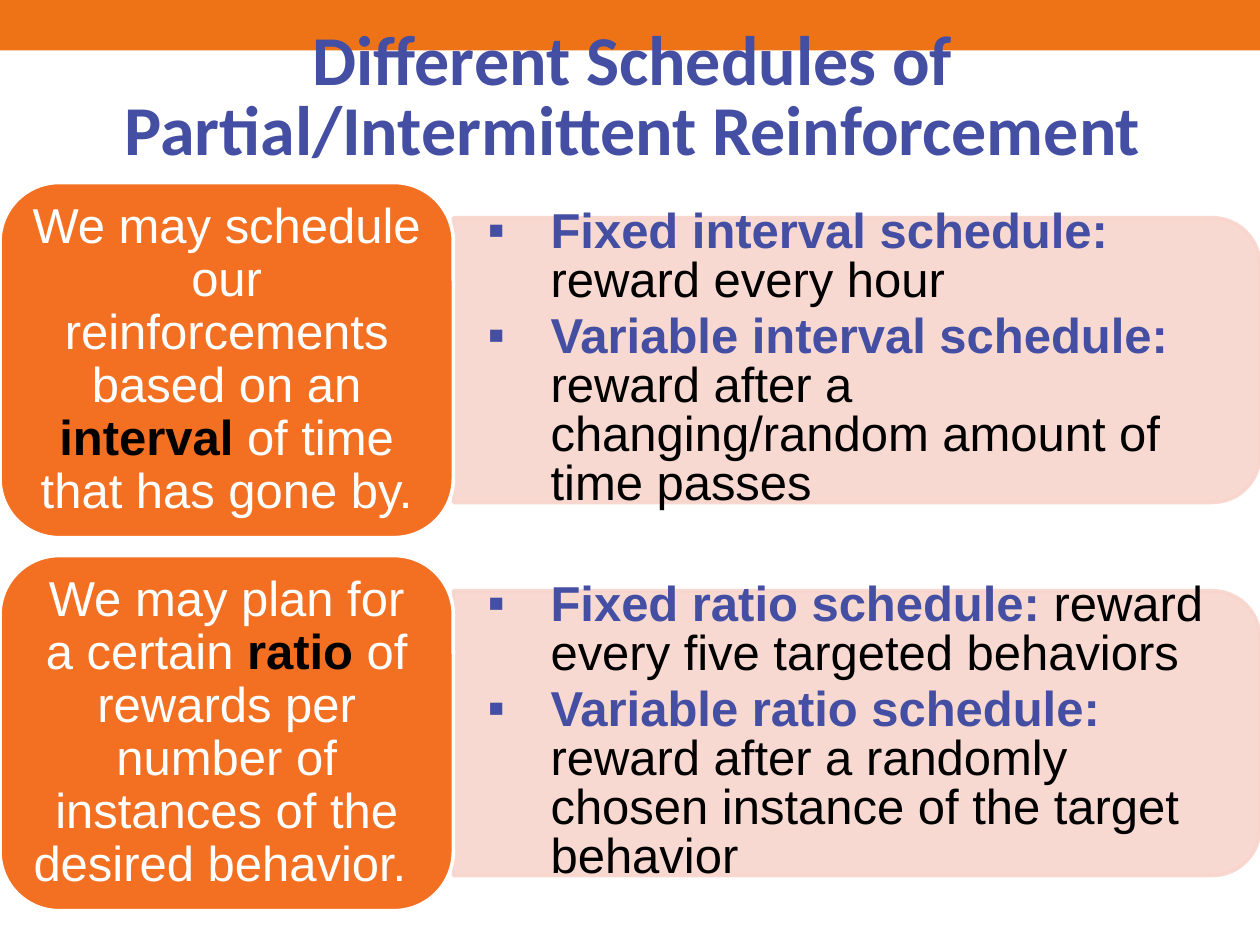
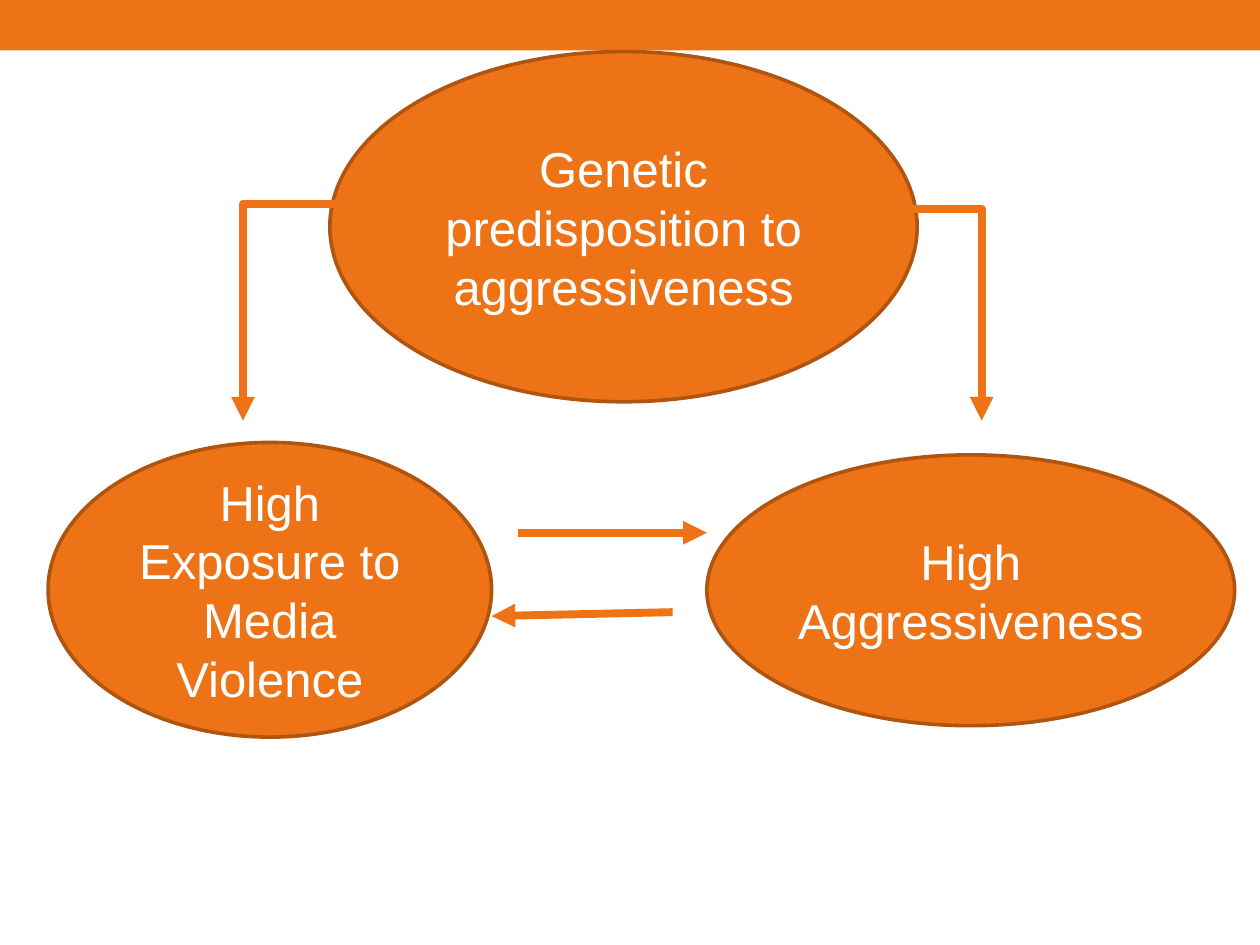
import math
from dataclasses import dataclass

import pptx
import pptx.dml.color
import pptx.enum.shapes
import pptx.enum.text
import pptx.oxml
import pptx.oxml.ns
import pptx.util
from pptx.util import Cm

SHAPES = pptx.enum.shapes.MSO_SHAPE
CONNECTORS = pptx.enum.shapes.MSO_CONNECTOR
ALIGN = pptx.enum.text.PP_ALIGN
ANCHOR = pptx.enum.text.MSO_ANCHOR


@dataclass(frozen=True)
class Theme:
    orange: str = "ED7316"
    dark_orange: str = "AF5510"
    card: str = "F36F21"
    panel: str = "F8D5CC"
    accent: str = "444EA2"
    white: str = "FFFFFF"
    black: str = "000000"
    body_font: str = "Arial"
    title_font: str = "Calibri"
    body_size: int = 28
    title_size: int = 40
    outline: float = 2.08
    arrow: float = 4.5


THEME = Theme()


# Formatting helpers
def rgb(color):
    return pptx.dml.color.RGBColor.from_string(color)


def add_element(parent, tag, **attributes):
    element = pptx.oxml.ns.qn(f"a:{tag}")
    child = parent.makeelement(element, attributes)
    parent.append(child)
    return child


def set_alpha(fill_parent, percent):
    for color in fill_parent.iter(pptx.oxml.ns.qn("a:srgbClr")):
        add_element(color, "alpha", val=str(percent * 1000))


def style_shape(shape, fill, line=None):
    shape.shadow.inherit = False
    shape.fill.solid()
    shape.fill.fore_color.rgb = rgb(fill)
    if line:
        shape.line.color.rgb = rgb(line)
        shape.line.width = pptx.util.Pt(THEME.outline)
    else:
        shape.line.fill.background()


def write_text(shape, paragraphs, *, size=THEME.body_size, font=THEME.body_font,
               align=ALIGN.CENTER, spacing=None, after=None, bullet=None,
               insets=(0.25, 0.13, 0.25, 0.13)):
    """Each paragraph is a list of (text, colour, bold) runs."""
    frame = shape.text_frame
    frame.word_wrap = True
    frame.vertical_anchor = ANCHOR.MIDDLE
    (frame.margin_left, frame.margin_top,
     frame.margin_right, frame.margin_bottom) = map(Cm, insets)
    for index, runs in enumerate(paragraphs):
        paragraph = frame.add_paragraph() if index else frame.paragraphs[0]
        if bullet:
            paragraph.level = 1
            properties = paragraph._p.get_or_add_pPr()
            properties.set("marL", str(Cm(1.27)))
            properties.set("indent", str(-Cm(1.27)))
            add_element(properties, "buFont", typeface=font)
            add_element(properties, "buChar", char=bullet)
        paragraph.alignment = align
        if spacing:
            paragraph.line_spacing = spacing
        if after:
            paragraph.space_after = pptx.util.Pt(after)
        for text, color, bold in runs:
            run = paragraph.add_run()
            run.text = text
            run.font.size = pptx.util.Pt(size)
            run.font.name = font
            run.font.bold = bold
            run.font.color.rgb = rgb(color)


# Shared slide parts
def add_slide(presentation):
    slide = presentation.slides.add_slide(presentation.slide_layouts[6])
    band = slide.shapes.add_shape(SHAPES.RECTANGLE, 0, 0, presentation.slide_width, Cm(1.02))
    style_shape(band, THEME.orange)
    return slide


def add_title(slide, text):
    title = slide.shapes.add_textbox(Cm(1.32), Cm(-0.38), Cm(22.86), Cm(4.78))
    write_text(title, [[(text, THEME.accent, True)]], size=THEME.title_size,
               font=THEME.title_font, spacing=pptx.util.Pt(THEME.title_size))


# Schedule rows
def add_panel(slide, top, schedules):
    left, right, height, radius = 9.14, 25.4, 5.74, 0.96
    arc = [math.radians(step * 7.5) for step in range(13)]
    corner_x = right - radius
    upper = [(corner_x + radius * math.sin(angle), top + radius * (1 - math.cos(angle)))
             for angle in arc]
    lower = [(x, 2 * top + height - y) for x, y in reversed(upper)]
    points = [(Cm(x), Cm(y)) for x, y in upper + lower + [(left, top + height)]]
    builder = slide.shapes.build_freeform(Cm(left), Cm(top))
    builder.add_line_segments(points, close=True)
    panel = builder.convert_to_shape()
    style_shape(panel, THEME.panel, THEME.panel)
    set_alpha(panel._element.spPr, 90)
    paragraphs = [[(name, THEME.accent, True), (detail, THEME.black, False)]
                  for name, detail in schedules]
    write_text(panel, paragraphs, align=ALIGN.LEFT, bullet="▪", after=4,
               spacing=pptx.util.Pt(THEME.body_size), insets=(0.69, 0.64, 0.97, 0.64))


def add_card(slide, top, before, keyword, after):
    card = slide.shapes.add_shape(SHAPES.ROUNDED_RECTANGLE, 0, Cm(top), Cm(9.14), Cm(7.16))
    style_shape(card, THEME.card, THEME.white)
    runs = [(before, THEME.white, False), (keyword, THEME.black, True),
            (after, THEME.white, False)]
    write_text(card, [runs], spacing=0.9, insets=(0.29, 0.16, 0.29, 0.16))


# Cause diagram
def add_ellipse(slide, text, left, top, width, height):
    ellipse = slide.shapes.add_shape(SHAPES.OVAL, Cm(left), Cm(top), Cm(width), Cm(height))
    style_shape(ellipse, THEME.orange, THEME.dark_orange)
    write_text(ellipse, [[(text, THEME.white, False)]])


def add_arrow(slide, start, end, bent=False):
    kind = CONNECTORS.ELBOW if bent else CONNECTORS.STRAIGHT
    arrow = slide.shapes.add_connector(kind, *map(Cm, start + end))
    arrow.line.color.rgb = rgb(THEME.orange)
    arrow.line.width = pptx.util.Pt(THEME.arrow)
    properties = arrow._element.spPr
    if bent:  # a single corner: across, then down
        properties.find(pptx.oxml.ns.qn("a:prstGeom")).set("prst", "bentConnector2")
    add_element(arrow.line._get_or_add_ln(), "tailEnd", type="triangle")
    add_element(properties, "effectLst")


# Slides
def build_schedules(presentation):
    slide = add_slide(presentation)
    rows = [
        (("We may schedule our reinforcements based on an ", "interval ",
          "of time that has gone by."),
         [("Fixed interval schedule: ", "reward every hour"),
          ("Variable interval schedule: ",
           "reward after a changing/random amount of time passes")]),
        (("We may plan for a certain ", "ratio ",
          "of rewards per number of instances of the desired behavior. "),
         [("Fixed ratio schedule: ", "reward every five targeted behaviors"),
          ("Variable ratio schedule: ",
           "reward after a randomly chosen instance of the target behavior")]),
    ]
    for index, (basis, schedules) in enumerate(rows):
        top = 3.68 + index * 7.52
        add_panel(slide, top + 0.71, schedules)
        add_card(slide, top, *basis)
    add_title(slide, "Different Schedules of Partial/Intermittent Reinforcement")


def build_causes(presentation):
    slide = add_slide(presentation)
    add_ellipse(slide, "High Exposure to Media Violence", 0.97, 8.92, 8.94, 5.94)
    add_ellipse(slide, "Genetic predisposition to aggressiveness", 6.65, 1.04, 11.84, 7.06)
    add_ellipse(slide, "High Aggressiveness", 14.25, 9.17, 10.64, 5.46)
    add_arrow(slide, (17.78, 4.22), (19.79, 8.48), bent=True)
    add_arrow(slide, (7.37, 4.11), (4.9, 8.48), bent=True)
    add_arrow(slide, (10.44, 10.74), (14.25, 10.74))
    add_arrow(slide, (13.56, 12.34), (9.91, 12.42))


def main():
    presentation = pptx.Presentation()
    presentation.slide_width = Cm(25.4)
    presentation.slide_height = Cm(19.05)
    build_schedules(presentation)
    build_causes(presentation)
    presentation.save("out.pptx")


if __name__ == "__main__":
    main()
